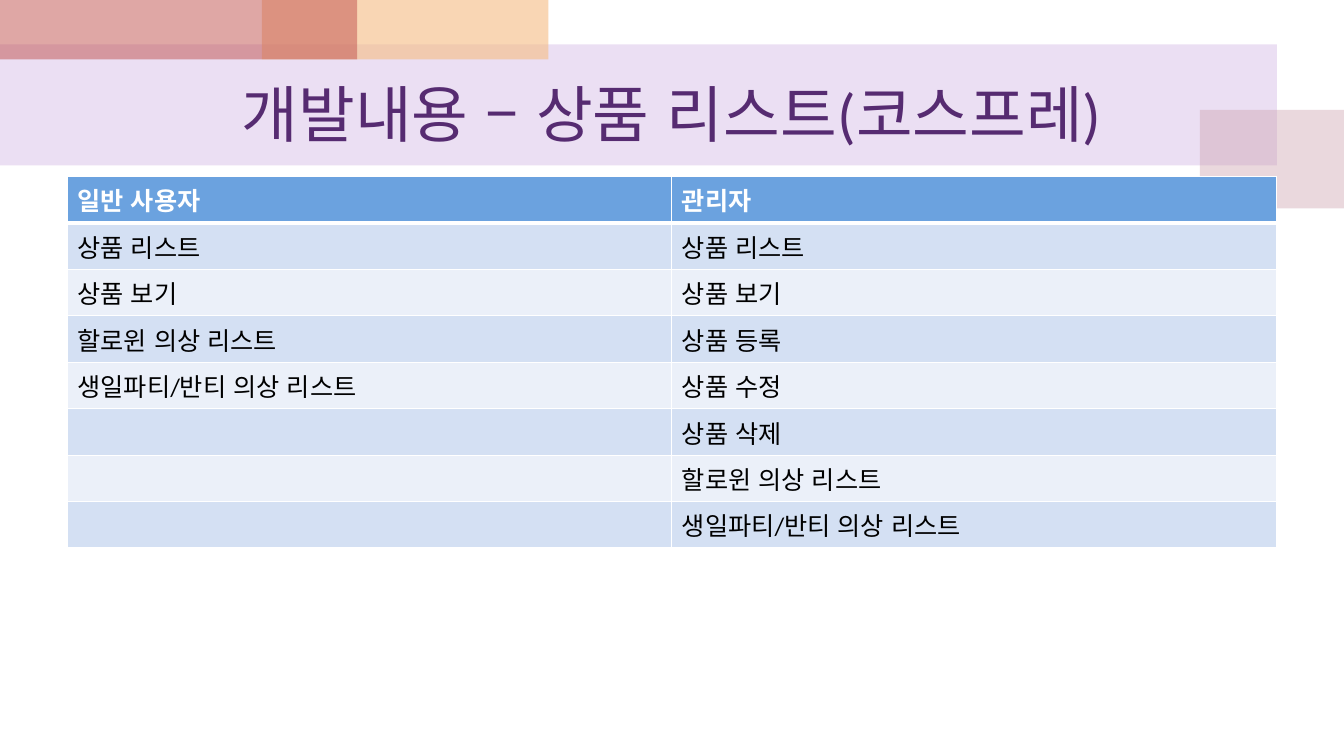
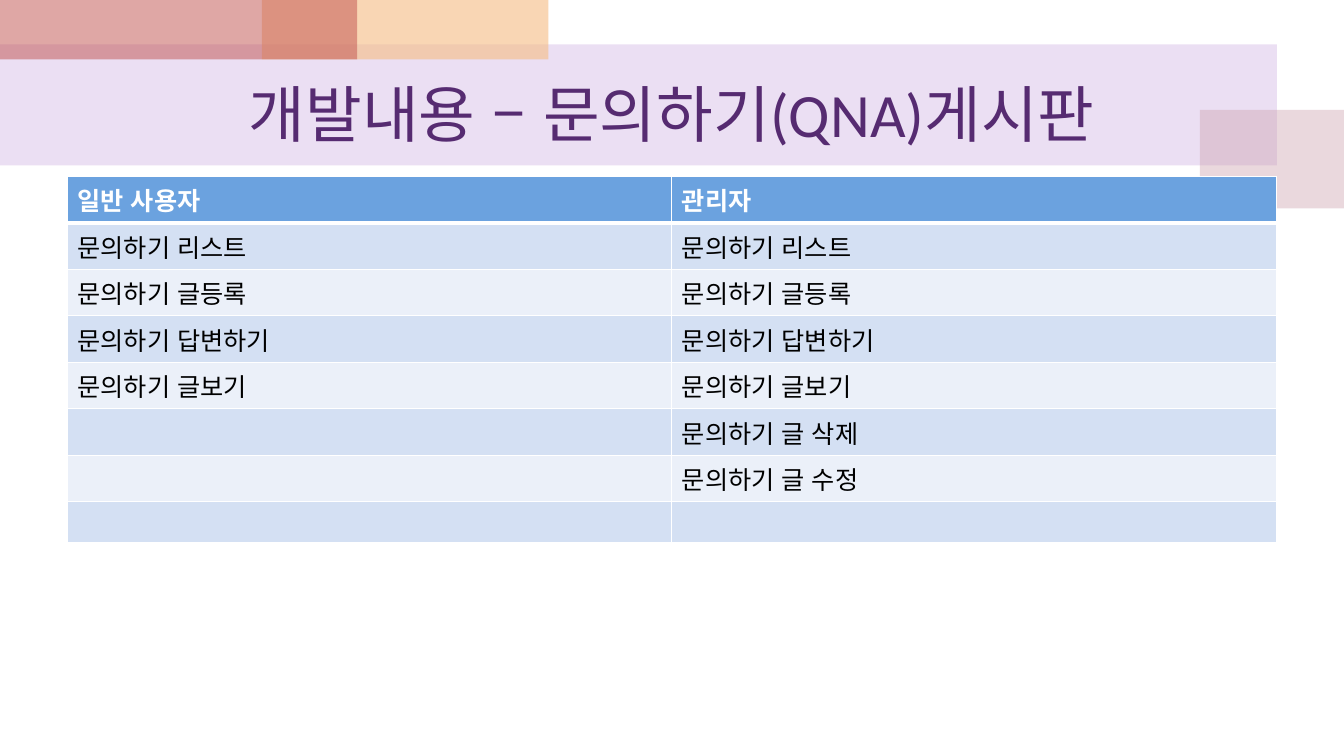
from dataclasses import dataclass
from itertools import zip_longest

from lxml import etree
from pptx import Presentation
from pptx import util as u
from pptx.dml import color
from pptx.enum import lang, shapes, text
from pptx.oxml import ns


@dataclass(frozen=True)
class Theme:
    font: str = "Calibri"
    title: str = "562B71"
    head: str = "6BA2DF"
    odd: str = "D4E0F3"
    even: str = "EBF0F9"
    ink: str = "000000"
    white: str = "FFFFFF"
    big: int = 44
    body: int = 18
    thin: int = 1
    thick: int = 3


@dataclass(frozen=True)
class Block:
    """A see-through rectangle; lengths in cm, alpha in percent."""
    left: float
    top: float
    width: float
    height: float
    fill: str
    alpha: int


@dataclass(frozen=True)
class Page:
    title: str
    user: list[str]
    admin: list[str]


THEME = Theme()
LEFT, WIDTH = 1.7, 30.46
ROWS, FULL, BARE = 8, 1.17, 1.03

BLOCKS = [
    Block(0, 1.12, 32.18, 3.05, "BF98D8", 30),
    Block(30.24, 2.77, 3.63, 2.48, "CC9EAC", 40),
    Block(6.6, 0, 7.22, 1.5, "F5BC83", 60),
    Block(0, 0, 9, 1.5, "C0504D", 50),
]

PAGES = [
    Page(
        "개발내용 – 상품 리스트(코스프레)",
        ["상품 리스트", "상품 보기", "할로윈 의상 리스트",
         "생일파티/반티 의상 리스트"],
        ["상품 리스트", "상품 보기", "상품 등록", "상품 수정", "상품 삭제",
         "할로윈 의상 리스트", "생일파티/반티 의상 리스트"],
    ),
    Page(
        "개발내용 – 문의하기(QNA)게시판",
        ["문의하기 리스트", "문의하기 글등록", "문의하기 답변하기",
         "문의하기 글보기"],
        ["문의하기 리스트", "문의하기 글등록", "문의하기 답변하기",
         "문의하기 글보기", "문의하기 글 삭제", "문의하기 글 수정"],
    ),
]


def paint(fill, tone: str) -> None:
    fill.solid()
    fill.fore_color.rgb = color.RGBColor.from_string(tone)


def write(para, words: str, size: int, tone: str, bold: bool = False) -> None:
    run = para.add_run()
    run.text = words
    font = run.font
    font.name, font.size, font.bold = THEME.font, u.Pt(size), bold
    font.language_id = lang.MSO_LANGUAGE_ID.KOREAN
    font.color.rgb = color.RGBColor.from_string(tone)


def draw_block(slide, block: Block) -> None:
    box = slide.shapes.add_shape(
        shapes.MSO_SHAPE.RECTANGLE, u.Cm(block.left), u.Cm(block.top),
        u.Cm(block.width), u.Cm(block.height))
    box.shadow.inherit = False
    box.line.fill.background()
    paint(box.fill, block.fill)
    tone = box.element.spPr.find(".//" + ns.qn("a:srgbClr"))
    etree.SubElement(tone, ns.qn("a:alpha"), val=str(block.alpha * 1000))


def draw_title(slide, words: str) -> None:
    box = slide.shapes.add_textbox(
        u.Cm(LEFT), u.Cm(1.5), u.Cm(WIDTH), u.Cm(2.67))
    frame = box.text_frame
    frame.word_wrap = True
    frame.vertical_anchor = text.MSO_ANCHOR.MIDDLE
    para = frame.paragraphs[0]
    para.alignment = text.PP_ALIGN.CENTER
    write(para, words, THEME.big, THEME.title)


def edge(cell, top: int, bottom: int) -> None:
    """Give the cell white borders; call before its fill is set."""
    props = cell._tc.get_or_add_tcPr()
    sides = {"L": THEME.thin, "R": THEME.thin, "T": top, "B": bottom}
    for side, width in sides.items():
        line = etree.SubElement(
            props, ns.qn(f"a:ln{side}"), w=str(u.Pt(width)))
        fill = etree.SubElement(line, ns.qn("a:solidFill"))
        etree.SubElement(fill, ns.qn("a:srgbClr"), val=THEME.white)


def draw_table(slide, page: Page) -> None:
    lists = ["일반 사용자", *page.user], ["관리자", *page.admin]
    pairs = list(zip_longest(*lists, fillvalue=""))
    pairs += [("", "")] * (ROWS - len(pairs))
    sizes = [FULL if any(pair) else BARE for pair in pairs]
    table = slide.shapes.add_table(
        ROWS, 2, u.Cm(LEFT), u.Cm(4.45), u.Cm(WIDTH), u.Cm(sum(sizes))).table
    for r, (pair, size) in enumerate(zip(pairs, sizes)):
        table.rows[r].height = u.Cm(size)
        head = r == 0
        tone = THEME.head if head else THEME.odd if r % 2 else THEME.even
        for c, words in enumerate(pair):
            cell = table.cell(r, c)
            edge(cell, THEME.thick if r == 1 else THEME.thin,
                 THEME.thick if head else THEME.thin)
            paint(cell.fill, tone)
            if words:
                write(cell.text_frame.paragraphs[0], words, THEME.body,
                      THEME.white if head else THEME.ink, head)


def main() -> None:
    deck = Presentation()
    deck.slide_width, deck.slide_height = u.Cm(33.87), u.Cm(19.05)
    for page in PAGES:
        slide = deck.slides.add_slide(deck.slide_layouts[6])
        for block in BLOCKS:
            draw_block(slide, block)
        draw_title(slide, page.title)
        draw_table(slide, page)
    deck.save("out.pptx")


if __name__ == "__main__":
    main()
